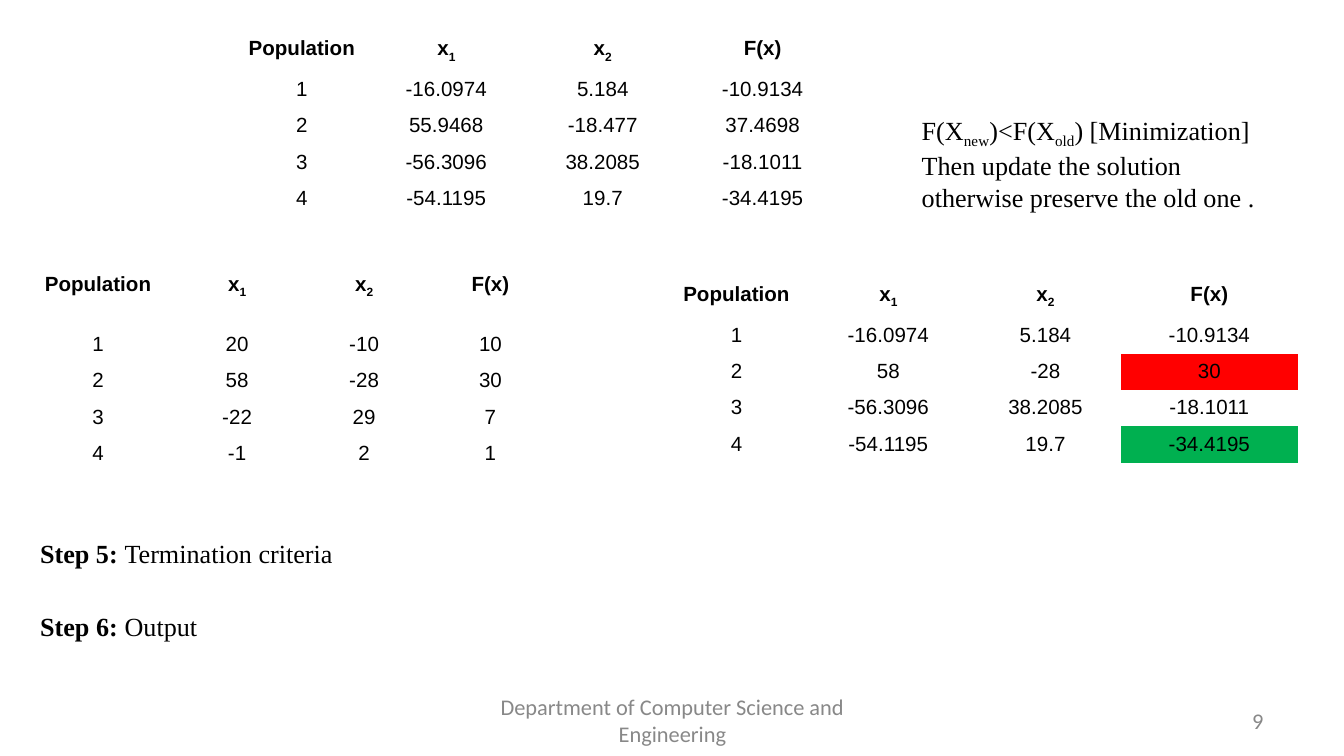
from dataclasses import dataclass, field

from pptx import Presentation
from pptx.dml.color import RGBColor
from pptx.enum.text import MSO_ANCHOR, PP_ALIGN
from pptx.oxml.ns import qn
from pptx.slide import Slide
from pptx.util import Pt


@dataclass(frozen=True)
class Theme:
    ink: str = "000000"
    gray: str = "888888"
    red: str = "FF0000"
    green: str = "00B050"
    grid: str = "Arial"
    body: str = "Times New Roman"
    foot: str = "Calibri"
    grid_size: float = 11
    body_size: float = 14
    foot_size: float = 12
    pad: float = 3.4
    plain: str = "{2D5ABB26-0587-4C30-8999-92F81FD0307C}"


THEME = Theme()


@dataclass(frozen=True)
class Piece:
    text: str
    bold: bool = False
    sub: bool = False


Line = list[Piece]


@dataclass(frozen=True)
class Grid:
    left: float
    top: float
    cols: list[float]
    head: float
    row: float
    data: list[list[str]]
    fills: dict[tuple[int, int], str] = field(default_factory=dict)


@dataclass(frozen=True)
class Note:
    left: float
    top: float
    width: float
    height: float
    lines: list[Line]
    face: str = THEME.body
    size: float = THEME.body_size
    color: str = THEME.ink
    align: PP_ALIGN = PP_ALIGN.LEFT
    anchor: MSO_ANCHOR = MSO_ANCHOR.TOP


HEAD: list[Line] = [
    [Piece("Population")],
    [Piece("x"), Piece("1", sub=True)],
    [Piece("x"), Piece("2", sub=True)],
    [Piece("F(x)")],
]
OLD = [
    ["-16.0974", "5.184", "-10.9134"],
    ["55.9468", "-18.477", "37.4698"],
    ["-56.3096", "38.2085", "-18.1011"],
    ["-54.1195", "19.7", "-34.4195"],
]
NEW = [
    ["20", "-10", "10"],
    ["58", "-28", "30"],
    ["-22", "29", "7"],
    ["-1", "2", "1"],
]
BEST = [OLD[0], NEW[1], OLD[2], OLD[3]]

GRIDS = [
    Grid(124.6, 16.6, [74.2, 80.6, 87.1, 84.2], 21.7, 19.5, OLD),
    Grid(14.4, 142.6, [76.3, 72.7, 63.4, 72], 32.2, 19.6, NEW),
    Grid(357.1, 148.3, [74.9, 87.8, 80.6, 95], 21.7, 19.5, BEST,
         {(2, 3): THEME.red, (4, 3): THEME.green}),
]

FOOT = dict(face=THEME.foot, size=THEME.foot_size, color=THEME.gray,
            anchor=MSO_ANCHOR.MIDDLE)
NOTES = [
    Note(246.2, 375.1, 228.2, 21.6,
         [[Piece("Department of Computer Science and Engineering")]],
         align=PP_ALIGN.CENTER, **FOOT),
    Note(516.2, 375.1, 167.8, 21.6, [[Piece("9")]],
         align=PP_ALIGN.RIGHT, **FOOT),
    Note(14.4, 284.4, 177.1, 24.5,
         [[Piece("Step 5: ", bold=True), Piece("Termination criteria")]]),
    Note(486.7, 57.6, 197.3, 58.3, [
        [Piece("F(X"), Piece("new", sub=True), Piece(")<F(X"),
         Piece("old", sub=True), Piece(") [Minimization]")],
        [Piece("Then update the solution otherwise preserve the old one .")],
    ]),
    Note(14.4, 323.3, 136.1, 24.5,
         [[Piece("Step 6:", bold=True), Piece(" Output")]]),
]


def write(para, line: Line, face: str, size: float, color: str,
          align: PP_ALIGN, bold: bool = False) -> None:
    para.alignment = align
    font = para.font
    font.name, font.size, font.bold = face, Pt(size), bold
    font.color.rgb = RGBColor.from_string(color)
    for piece in line:
        run = para.add_run()
        run.text = piece.text
        if piece.bold:
            run.font.bold = True
        if piece.sub:
            run.font._element.set("baseline", "-25000")


def add_note(slide: Slide, note: Note) -> None:
    box = slide.shapes.add_textbox(
        Pt(note.left), Pt(note.top), Pt(note.width), Pt(note.height))
    frame = box.text_frame
    frame.word_wrap = True
    frame.vertical_anchor = note.anchor
    for i, line in enumerate(note.lines):
        para = frame.add_paragraph() if i else frame.paragraphs[0]
        write(para, line, note.face, note.size, note.color, note.align)


def add_grid(slide: Slide, grid: Grid) -> None:
    """Draw a numbered population table under the shared header."""
    rows = [HEAD] + [[[Piece(text)] for text in (str(n), *vals)]
                     for n, vals in enumerate(grid.data, 1)]
    tall = [grid.head] + [grid.row] * len(grid.data)
    table = slide.shapes.add_table(
        len(rows), len(HEAD), Pt(grid.left), Pt(grid.top),
        Pt(sum(grid.cols)), Pt(sum(tall))).table
    table.first_row = table.horz_banding = False
    table._tbl.tblPr.find(qn("a:tableStyleId")).text = THEME.plain
    for col, width in zip(table.columns, grid.cols):
        col.width = Pt(width)
    for r, (row, height) in enumerate(zip(rows, tall)):
        table.rows[r].height = Pt(height)
        for c, line in enumerate(row):
            cell = table.cell(r, c)
            cell.margin_top = cell.margin_bottom = Pt(THEME.pad)
            if (r, c) in grid.fills:
                cell.fill.solid()
                cell.fill.fore_color.rgb = RGBColor.from_string(
                    grid.fills[r, c])
            else:
                cell.fill.background()
            write(cell.text_frame.paragraphs[0], line, THEME.grid,
                  THEME.grid_size, THEME.ink, PP_ALIGN.CENTER, bold=r == 0)


def main() -> None:
    deck = Presentation()
    deck.slide_width, deck.slide_height = Pt(720), Pt(405)
    slide = deck.slides.add_slide(deck.slide_layouts[6])
    for grid in GRIDS:
        add_grid(slide, grid)
    for note in NOTES:
        add_note(slide, note)
    deck.save("out.pptx")


if __name__ == "__main__":
    main()
